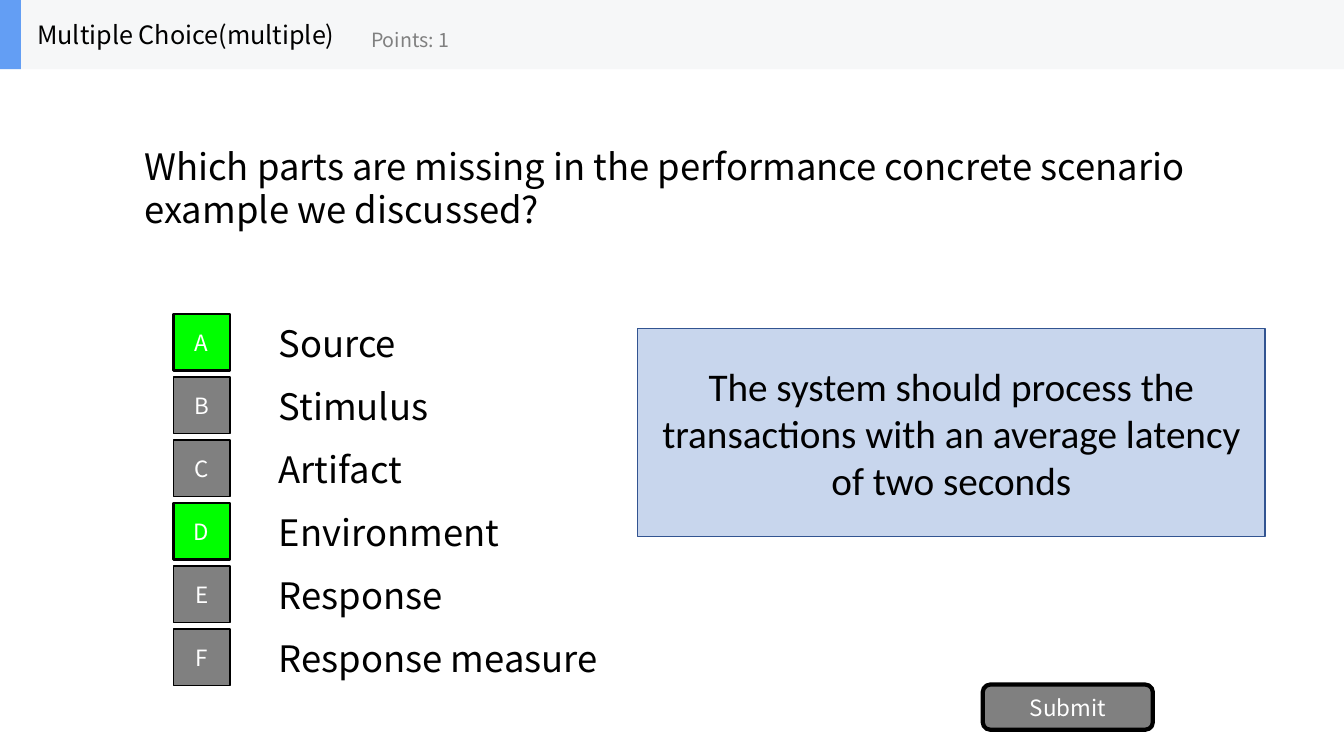
from dataclasses import dataclass

from lxml import etree
from pptx import Presentation
from pptx import util as u
from pptx.dml.color import RGBColor
from pptx.enum import shapes, text
from pptx.oxml.ns import qn

PX = 9525  # EMU per px at 96 px to the inch
QUIZ_FONT = "Noto Sans CJK SC"
COLORS = {
    "black": "000000",
    "white": "FFFFFF",
    "gray": "808080",
    "correct": "00FF00",
    "callout": "4472C4",
    "callout_line": "325491",
    "header": "F6F7F8",
    "accent": "639EF4",
}
OPTION_TOP, BUTTON_TOP, OPTION_PITCH = 293, 299, 60
BUTTON_SIZE = 54


@dataclass
class Box:
    left: int
    top: int
    width: int
    height: int

    def emu(self) -> list[int]:
        return [u.Emu(n * PX) for n in (self.left, self.top, self.width, self.height)]


@dataclass
class Style:
    size: int
    color: str
    font: str = QUIZ_FONT
    centered: bool = False


@dataclass
class Option:
    label: str
    correct: bool = False


OPTIONS = [
    Option("Source", True),
    Option("Stimulus"),
    Option("Artifact"),
    Option("Environment", True),
    Option("Response"),
    Option("Response measure"),
]
BODY = Style(26, "black")
BUTTON = Style(16, "white", centered=True)


def rgb(name: str) -> RGBColor:
    return RGBColor.from_string(COLORS[name])


def write(shape, words: str, style: Style, wrap: bool = True) -> None:
    frame = shape.text_frame
    frame.word_wrap = wrap
    frame.vertical_anchor = text.MSO_ANCHOR.MIDDLE
    paragraph = frame.paragraphs[0]
    paragraph.text = words
    paragraph.alignment = text.PP_ALIGN.CENTER if style.centered else text.PP_ALIGN.LEFT
    paragraph.font.size = u.Pt(style.size)
    paragraph.font.name = style.font
    paragraph.font.color.rgb = rgb(style.color)


def add_text(slide, box: Box, words: str, style: Style, wrap: bool = True) -> None:
    write(slide.shapes.add_textbox(*box.emu()), words, style, wrap)


def add_panel(slide, box: Box, fill: str, line: str = "", line_width: int = 0,
              kind=shapes.MSO_SHAPE.RECTANGLE):
    shape = slide.shapes.add_shape(kind, *box.emu())
    shape.shadow.inherit = False
    shape.fill.solid()
    shape.fill.fore_color.rgb = rgb(fill)
    if line:
        shape.line.color.rgb = rgb(line)
        shape.line.width = u.Pt(line_width)
    else:
        shape.line.fill.background()
    return shape


def set_opacity(shape, percent: int) -> None:
    color = shape.fill._xPr.find(qn("a:solidFill"))[0]
    etree.SubElement(color, qn("a:alpha"), val=str(percent * 1000))


def add_option(slide, index: int, option: Option) -> None:
    offset = index * OPTION_PITCH
    add_text(slide, Box(256, OPTION_TOP + offset, 896, 67), option.label, BODY)
    button = add_panel(
        slide,
        Box(165, BUTTON_TOP + offset, BUTTON_SIZE, BUTTON_SIZE),
        "correct" if option.correct else "gray",
        "black",
        2 if option.correct else 1,
    )
    write(button, "ABCDEF"[index], BUTTON)


def main() -> None:
    presentation = Presentation()
    presentation.slide_width = u.Emu(1280 * PX)
    presentation.slide_height = u.Emu(720 * PX)
    slide = presentation.slides.add_slide(presentation.slide_layouts[6])

    # Question and options
    add_text(slide, Box(128, 66, 1024, 225),
             "Which parts are missing in the performance concrete scenario "
             "example we discussed?", BODY)
    for index, option in enumerate(OPTIONS):
        add_option(slide, index, option)

    # Submit button
    submit = add_panel(slide, Box(936, 652, 162, 43), "gray", "black", 3,
                       shapes.MSO_SHAPE.ROUNDED_RECTANGLE)
    write(submit, "Submit", BUTTON)

    # Scenario callout
    callout = add_panel(slide, Box(607, 313, 598, 198), "callout", "callout_line", 1)
    set_opacity(callout, 29)
    write(callout, "The system should process the transactions with an average "
                   "latency of two seconds", Style(28, "black", "Calibri", True))

    # Header bar
    add_panel(slide, Box(0, 0, 1280, 66), "header")
    add_panel(slide, Box(0, 0, 20, 66), "accent")
    add_text(slide, Box(26, 0, 314, 66), "Multiple Choice(multiple)",
             Style(18, "black"), wrap=False)
    add_text(slide, Box(344, 11, 240, 54), "Points: 1", Style(14, "gray"), wrap=False)

    presentation.save("out.pptx")


if __name__ == "__main__":
    main()
